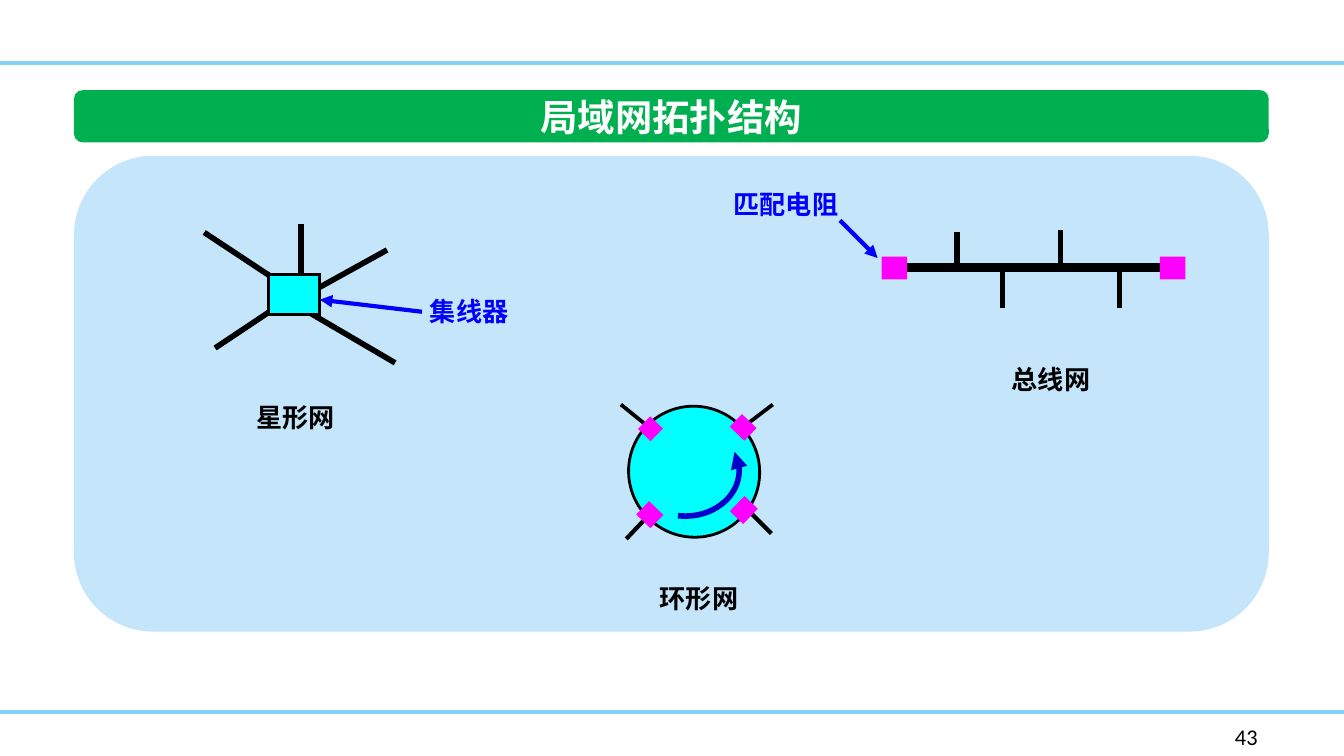
import math

import lxml.etree
import pptx
import pptx.dml.color
import pptx.enum.shapes
import pptx.enum.text
import pptx.oxml.ns
import pptx.util

SHAPE = pptx.enum.shapes.MSO_SHAPE
ALIGN = pptx.enum.text.PP_ALIGN
BLACK, WHITE, BLUE = "000000", "FFFFFF", "0000FF"
CYAN, PINK = "00FFFF", "FF00FF"
CJK = "Noto Sans CJK SC"


def inch(val):
    return pptx.util.Cm(val * 2.54)


def color(code):
    return pptx.dml.color.RGBColor.from_string(code)


def child(node, tag, **attrs):
    return lxml.etree.SubElement(node, pptx.oxml.ns.qn(tag), attrs)


class Board:
    def __init__(self, slide, font=CJK):
        self.shapes = slide.shapes
        self.font = font

    def stroke(self, item, code, width, arrow=False):
        item.line.color.rgb = color(code)
        item.line.width = pptx.util.Pt(width)
        edge = item.line._get_or_add_ln()
        child(edge, "a:miter", lim="800000")
        if arrow:
            child(edge, "a:tailEnd", type="triangle")

    def line(self, start, end, code=BLACK, width=3, arrow=False):
        ends = [inch(val) for val in (*start, *end)]
        item = self.shapes.add_connector(
            pptx.enum.shapes.MSO_CONNECTOR.STRAIGHT, *ends)
        self.stroke(item, code, width, arrow)
        child(item._element.spPr, "a:effectLst")

    def shape(self, kind, box, fill, edge=None, width=1.5, turn=0, round=None):
        item = self.shapes.add_shape(kind, *[inch(val) for val in box])
        item.shadow.inherit = False
        item.rotation = turn
        if round is not None:
            item.adjustments[0] = round
        item.fill.solid()
        item.fill.fore_color.rgb = color(fill)
        if edge:
            self.stroke(item, edge, width)
        else:
            item.line.fill.background()

    def curve(self, points, code, width):
        first, *rest = [(inch(x), inch(y)) for x, y in points]
        pen = self.shapes.build_freeform(*first)
        pen.add_line_segments(rest, close=False)
        item = pen.convert_to_shape()
        item.shadow.inherit = False
        item.fill.background()
        self.stroke(item, code, width, arrow=True)

    def text(self, words, box, code=BLACK, size=14, bold=True, font=None,
             align=ALIGN.LEFT, wrap=False):
        frame = self.shapes.add_textbox(*[inch(val) for val in box]).text_frame
        frame.word_wrap = wrap
        frame.vertical_anchor = pptx.enum.text.MSO_ANCHOR.MIDDLE
        para = frame.paragraphs[0]
        para.alignment = align
        run = para.add_run()
        run.text = words
        run.font.size = pptx.util.Pt(size)
        run.font.bold = bold
        run.font.color.rgb = color(code)
        run.font.name = font or self.font
        child(run._r.get_or_add_rPr(), "a:ea", typeface=font or self.font)


def main():
    deck = pptx.Presentation()
    deck.slide_width, deck.slide_height = inch(10), inch(10 * 9 / 16)
    board = Board(deck.slides.add_slide(deck.slide_layouts[6]))

    # Page rules, title bar and panel
    for y in (0.47, 5.3):
        board.line((0, y), (10, y), "85D1F7", 2)
    board.shape(SHAPE.ROUNDED_RECTANGLE, (0.55, 0.67, 8.89, 0.39), "00B050",
                round=0.17)
    board.text("局域网拓扑结构", (3.91, 0.65, 2.17, 0.44), WHITE, 20,
               align=ALIGN.CENTER)
    board.shape(SHAPE.ROUNDED_RECTANGLE, (0.55, 1.16, 8.89, 3.54), "C5E5FB")

    # Bus network: trunk, taps and end resistors
    board.line((6.73, 1.99), (8.68, 1.99), width=4.5)
    for x, y in ((7.12, 1.73), (7.46, 2.29), (7.89, 1.71), (8.33, 2.29)):
        board.line((x, 2), (x, y))
    for x in (6.56, 8.63):
        board.shape(SHAPE.RECTANGLE, (x, 1.91, 0.19, 0.17), PINK)
    board.text("总线网", (7.43, 2.65, 0.79, 0.34))
    board.text("匹配电阻", (5.36, 1.35, 0.99, 0.33), BLUE)
    board.line((6.25, 1.64), (6.53, 1.92), BLUE, 2.25, arrow=True)

    # Ring network: spokes, ring, nodes and flow arrow
    for start, end, width in (
        ((4.83, 3.18), (4.62, 3.01), 2),
        ((5.75, 3.01), (5.54, 3.17), 2),
        ((5.74, 3.97), (5.56, 3.79), 2.25),
        ((4.84, 3.82), (4.66, 4.01), 2.25),
    ):
        board.line(start, end, width=width)
    tilt = 314
    board.shape(SHAPE.OVAL, (4.68, 3.02, 0.97, 0.98), CYAN, BLACK, turn=tilt)
    for box, width in (
        ((4.79, 3.14, 0.1, 0.1), 2.25),
        ((5.47, 3.74, 0.13, 0.11), 2),
        ((5.48, 3.12, 0.1, 0.12), 2.25),
        ((4.78, 3.77, 0.11, 0.12), 2),
    ):
        board.shape(SHAPE.RECTANGLE, box, PINK, PINK, width, tilt)
    turns = [math.radians(deg) for deg in range(98, -25, -2)]
    board.curve([(5.1 + 0.4 * math.cos(a), 3.5 + 0.34 * math.sin(a))
                 for a in turns], "0000CC", 3)
    board.text("环形网", (4.81, 4.28, 0.79, 0.34))

    # Star network: arms, hub and labels
    for start, end in (
        ((2.08, 2.1), (1.52, 1.73)),
        ((2.24, 2.1), (2.24, 1.67)),
        ((2.05, 2.29), (1.6, 2.59)),
        ((2.24, 2.29), (2.94, 2.7)),
        ((2.32, 2.17), (2.88, 1.86)),
    ):
        board.line(start, end)
    board.shape(SHAPE.RECTANGLE, (2, 2.04, 0.38, 0.3), CYAN, BLACK)
    board.text("星形网", (1.81, 2.93, 0.79, 0.34))
    board.text("集线器", (3.1, 2.15, 0.79, 0.33), BLUE)
    board.line((3.14, 2.32), (2.38, 2.23), BLUE, 2.25, arrow=True)

    # Page number
    board.text("43", (9.09, 5.33, 0.65, 0.3), size=12, bold=False,
               font="Calibri", wrap=True)

    deck.save("out.pptx")


if __name__ == "__main__":
    main()
